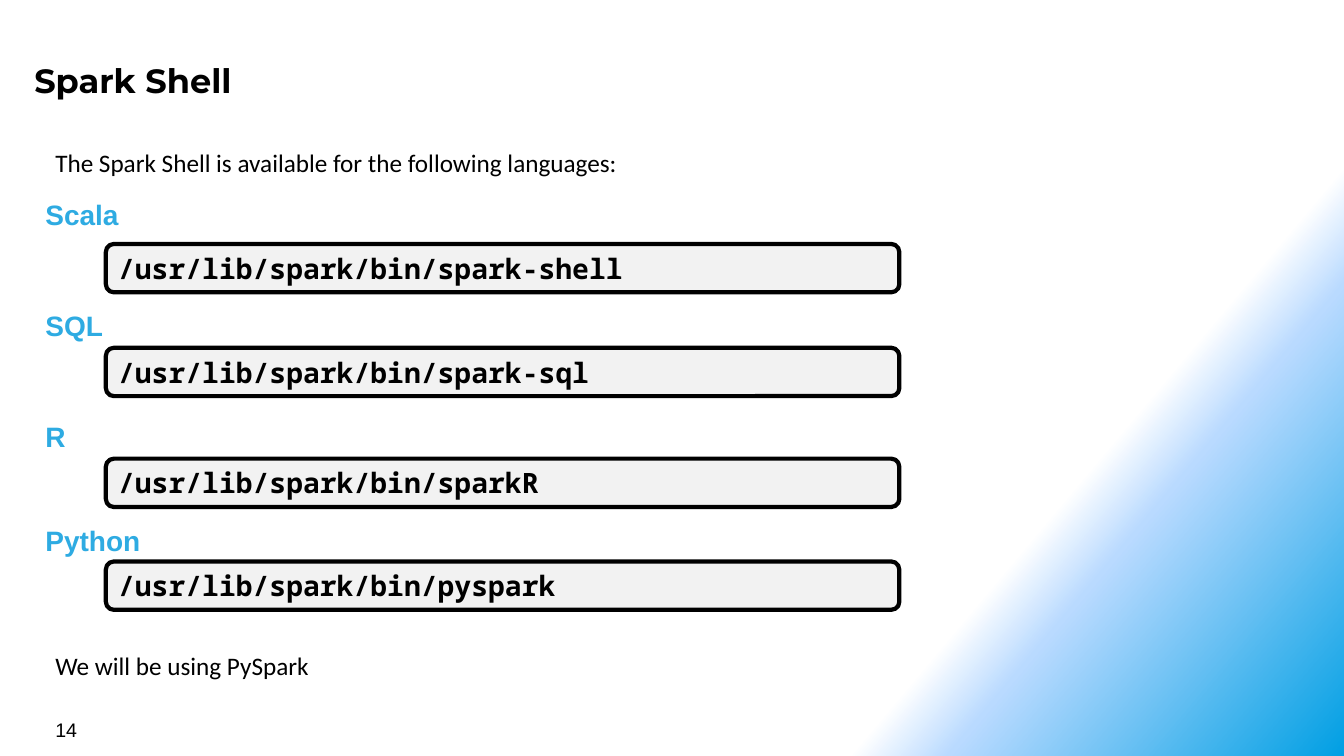
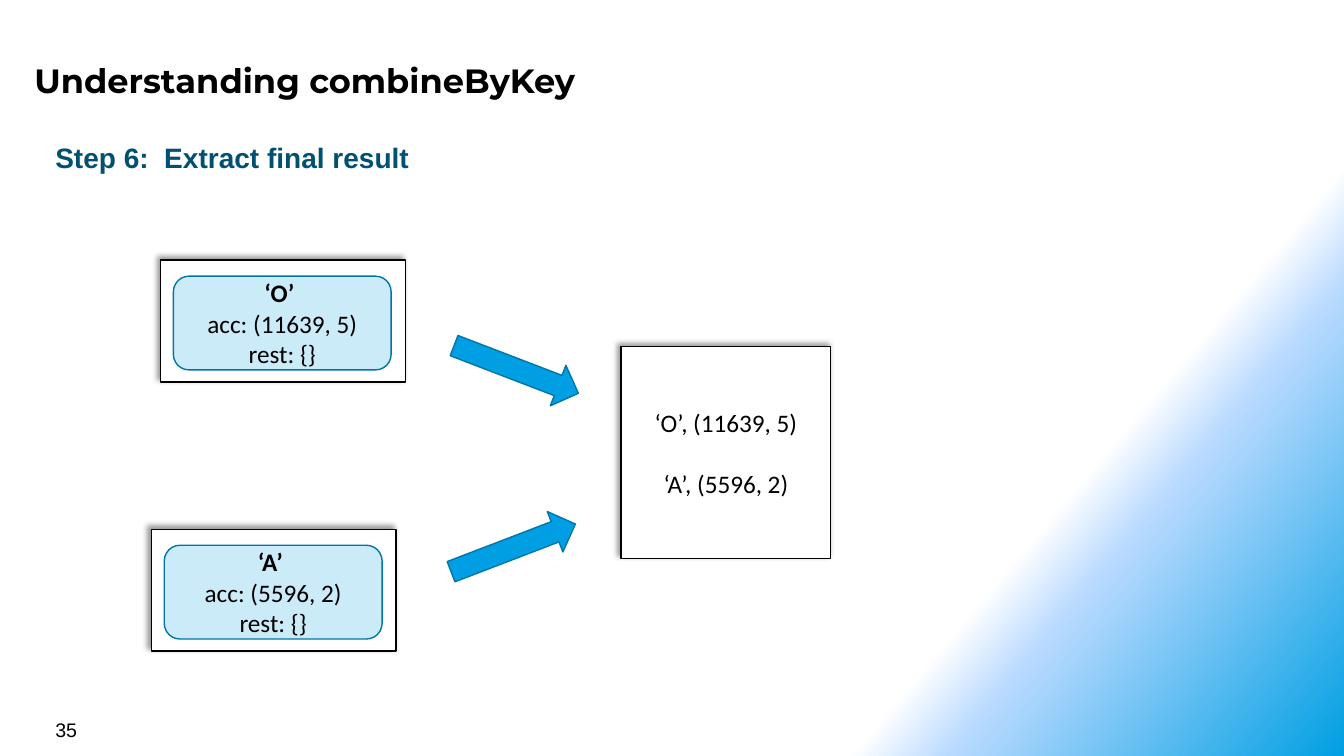
from dataclasses import dataclass

from pptx import Presentation
from pptx.dml.color import RGBColor
from pptx.enum.shapes import MSO_SHAPE as Preset
from pptx.enum.text import MSO_ANCHOR as Anchor, MSO_AUTO_SIZE as AutoSize, PP_ALIGN as Align
from pptx.oxml import parse_xml
from pptx.oxml.ns import nsdecls, qn
from pptx.util import Inches, Pt


@dataclass(frozen=True)
class Theme:
    black: str = "000000"
    white: str = "FFFFFF"
    code_fill: str = "F2F2F2"
    label: str = "2EABE2"
    step: str = "005072"
    accent: str = "009FE3"
    outline: str = "0076A8"
    glow: str = "B9DAFF"
    title_font: str = "Montserrat"
    label_font: str = "Arial"
    body_font: str = "Calibri"
    code_font: str = "Noto Sans Mono"
    title_size: int = 24
    label_size: int = 20
    body_size: int = 18
    number_size: int = 14


THEME = Theme()
LEFT = 0.45
TITLE_BOX = (0.26, 0.51, 12.26, 0.55)
NUMBER_BOX = (LEFT, 7.07, 3.11, 0.33)
DEFAULT_INSETS = (0.1, 0.05, 0.1, 0.05)

SHELL = {
    "title": "Spark Shell",
    "number": "14",
    "intro": "The Spark Shell is available for the following languages:",
    "closing": "We will be using PySpark",
    # language, command, label top, command top
    "languages": [
        ("Scala", "/usr/lib/spark/bin/spark-shell", 1.96, 2.42),
        ("SQL", "/usr/lib/spark/bin/spark-sql", 3.06, 3.45),
        ("R", "/usr/lib/spark/bin/sparkR", 4.16, 4.55),
        ("Python", "/usr/lib/spark/bin/pyspark", 5.19, 5.57),
    ],
}

COMBINE = {
    "title": "Understanding combineByKey",
    "number": "35",
    "step": "Step 6:  Extract final result",
    # lines, frame left, frame top
    "partitions": [
        (["‘O’ ", "acc: (11639, 5)", "rest: {}"], 1.59, 2.58),
        (["‘A’ ", "acc: (5596, 2)", "rest: {}"], 1.5, 5.25),
    ],
    # left, top, rotation
    "arrows": [(4.46, 3.45, 21), (4.43, 5.22, 339)],
    "results": ["‘O’, (11639, 5)", "‘A’, (5596, 2)"],
}


def rgb(color):
    return RGBColor.from_string(color)


def inches(box):
    return [Inches(length) for length in box]


def write(shape, lines, size, font, color=THEME.black, bold=False, align=Align.LEFT,
          anchor=Anchor.TOP, insets=DEFAULT_INSETS, auto_size=AutoSize.NONE, wrap=True):
    frame = shape.text_frame
    frame.text = "\n".join(lines)
    frame.word_wrap = wrap
    frame.auto_size = auto_size
    frame.vertical_anchor = anchor
    (frame.margin_left, frame.margin_top,
     frame.margin_right, frame.margin_bottom) = inches(insets)
    for paragraph in frame.paragraphs:
        paragraph.alignment = align
        for run in paragraph.runs:
            run.font.size = Pt(size)
            run.font.name = font
            run.font.bold = bold
            run.font.color.rgb = rgb(color)
    return frame


def add_text(slide, box, text, size, font, **style):
    write(slide.shapes.add_textbox(*inches(box)), [text], size, font, **style)


def add_box(slide, preset, box, fill, line, line_width=1):
    shape = slide.shapes.add_shape(preset, *inches(box))
    shape.shadow.inherit = False
    shape.fill.solid()
    shape.fill.fore_color.rgb = rgb(fill)
    shape.line.color.rgb = rgb(line)
    shape.line.width = Pt(line_width)
    return shape


def add_frame(slide, box):
    """Add a white rectangle with a soft shadow towards the upper left."""
    shape = add_box(slide, Preset.RECTANGLE, box, THEME.white, THEME.black)
    shape._element.spPr.find(qn("a:effectLst")).append(parse_xml(
        f'<a:outerShdw {nsdecls("a")} blurRad="{Pt(4)}" dist="{Pt(3)}" dir="{225 * 60000}">'
        f'<a:srgbClr val="{THEME.black}"><a:alpha val="40000"/></a:srgbClr></a:outerShdw>'))
    return shape


def set_opacity(shape, percent):
    color = shape._element.spPr.find(qn("a:solidFill")).find(qn("a:srgbClr"))
    color.append(parse_xml(f'<a:alpha {nsdecls("a")} val="{percent * 1000}"/>'))


def set_background(master):
    fill = master.background.fill
    fill.gradient()
    fill.gradient_angle = 320
    stops = [(75, THEME.white, 100), (80, THEME.glow, 50), (100, THEME.accent, 100)]
    stop_list = master.element.find(".//" + qn("a:gsLst"))
    for stop in list(stop_list):
        stop_list.remove(stop)
    for position, color, opacity in stops:
        alpha = f'<a:alpha val="{opacity * 1000}"/>' if opacity < 100 else ""
        stop_list.append(parse_xml(
            f'<a:gs {nsdecls("a")} pos="{position * 1000}">'
            f'<a:srgbClr val="{color}">{alpha}</a:srgbClr></a:gs>'))


def add_slide(presentation, content):
    slide = presentation.slides.add_slide(presentation.slide_layouts[5])
    title = slide.shapes.title
    title.left, title.top, title.width, title.height = inches(TITLE_BOX)
    write(title, [content["title"]], THEME.title_size, THEME.title_font,
          bold=True, insets=(0.08,) * 4)
    add_text(slide, NUMBER_BOX, content["number"], THEME.number_size, THEME.label_font)
    return slide


def build_shell(presentation):
    slide = add_slide(presentation, SHELL)
    for text, top in ((SHELL["intro"], 1.41), (SHELL["closing"], 6.4)):
        add_text(slide, (LEFT, top, 8.83, 0.4), text, THEME.body_size, THEME.body_font,
                 auto_size=AutoSize.SHAPE_TO_FIT_TEXT)
    for language, command, label_top, command_top in SHELL["languages"]:
        add_text(slide, (LEFT, label_top, 4.34, 0.39), language, THEME.label_size,
                 THEME.label_font, color=THEME.label, bold=True, insets=(0, 0, 0, 0.05),
                 auto_size=AutoSize.SHAPE_TO_FIT_TEXT)
        box = add_box(slide, Preset.ROUNDED_RECTANGLE, (1.05, command_top, 7.87, 0.48),
                      THEME.code_fill, THEME.black, 3)
        write(box, [command], THEME.label_size, THEME.code_font, bold=True,
              auto_size=AutoSize.SHAPE_TO_FIT_TEXT)


def build_combine(presentation):
    slide = add_slide(presentation, COMBINE)
    add_text(slide, (LEFT, 1.34, 3.73, 0.44), COMBINE["step"], THEME.label_size,
             THEME.label_font, color=THEME.step, bold=True, wrap=False,
             auto_size=AutoSize.SHAPE_TO_FIT_TEXT)
    centred = {"align": Align.CENTER, "anchor": Anchor.MIDDLE}

    for lines, left, top in COMBINE["partitions"]:
        add_frame(slide, (left, top, 2.43, 1.21))
        card = add_box(slide, Preset.ROUNDED_RECTANGLE, (left + 0.13, top + 0.16, 2.16, 0.93),
                       THEME.accent, THEME.outline)
        set_opacity(card, 20)
        frame = write(card, lines, THEME.body_size, THEME.body_font, **centred)
        frame.paragraphs[0].runs[0].font.bold = True

    for left, top, rotation in COMBINE["arrows"]:
        arrow = add_box(slide, Preset.RIGHT_ARROW, (left, top, 1.32, 0.43),
                        THEME.accent, THEME.outline)
        arrow.rotation = rotation

    result = add_frame(slide, (6.16, 3.44, 2.08, 2.1))
    frame = write(result, COMBINE["results"], THEME.body_size, THEME.body_font, **centred)
    frame.paragraphs[1].space_before = Pt(22)


def main():
    presentation = Presentation()
    presentation.slide_width = Inches(13.33)
    presentation.slide_height = Inches(7.5)
    set_background(presentation.slide_master)
    build_shell(presentation)
    build_combine(presentation)
    presentation.save("out.pptx")


if __name__ == "__main__":
    main()
